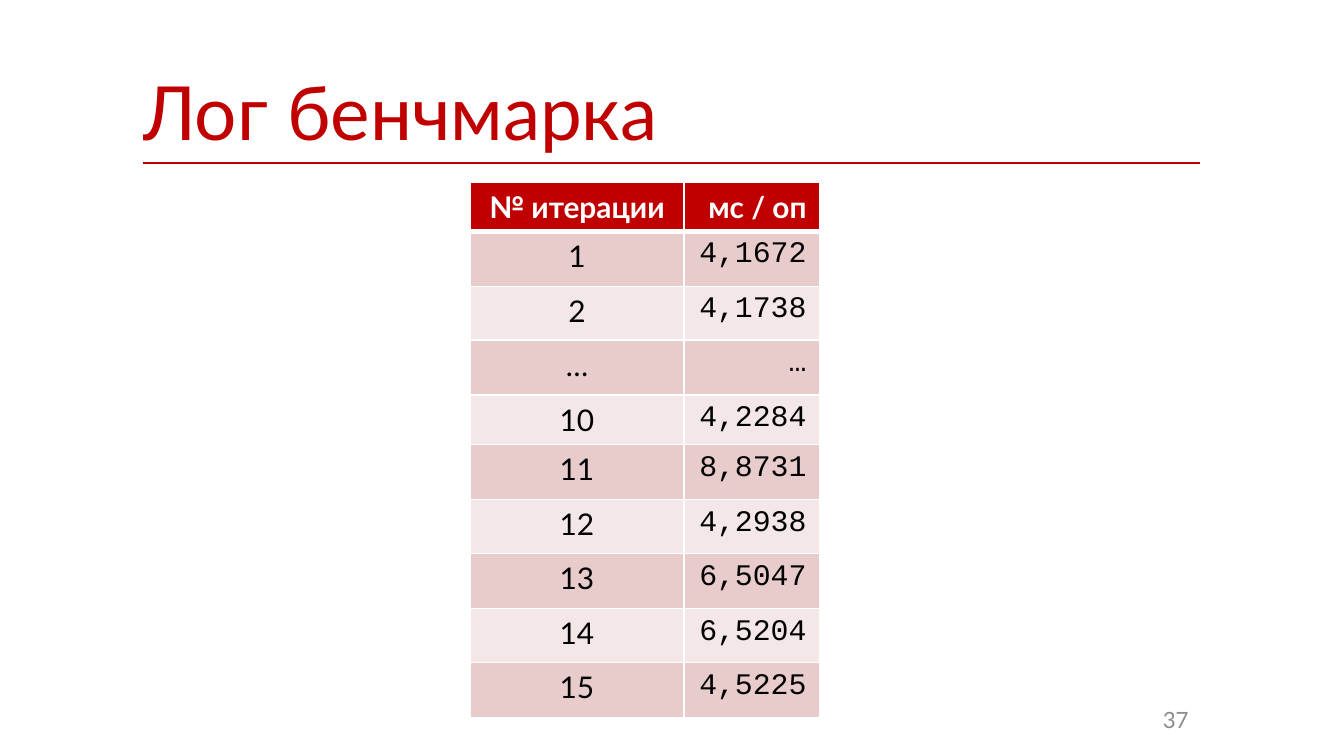
from dataclasses import dataclass

from lxml import etree
from pptx import Presentation, util as u
from pptx.dml.color import RGBColor
from pptx.enum import text as t
from pptx.oxml import ns

DPI = 134.4
HUES = {
    "red": "C00000", "white": "FFFFFF", "black": "000000",
    "dark": "E8CCCC", "light": "F4E7E7", "grey": "8C8C8C",
}
LEFT, MID, RIGHT = t.PP_ALIGN.LEFT, t.PP_ALIGN.CENTER, t.PP_ALIGN.RIGHT


@dataclass
class Style:
    size: int
    hue: str
    align: t.PP_ALIGN = LEFT
    face: str = "Lato"
    bold: bool = False


@dataclass
class Edge:
    side: str
    hue: str = "white"
    width: int = 1


def px(n: int) -> int:
    return round(n * u.Inches(1) / DPI)


def write(frame, words: str, style: Style) -> None:
    par = frame.paragraphs[0]
    par.text = words
    par.alignment = style.align
    font = par.font
    font.name, font.size, font.bold = style.face, u.Pt(style.size), style.bold
    font.color.rgb = RGBColor.from_string(HUES[style.hue])


def rule(cell, edge: Edge) -> None:
    props = cell._tc.get_or_add_tcPr()
    line = etree.SubElement(props, ns.qn("a:ln" + edge.side), w=str(u.Pt(edge.width)))
    fill = etree.SubElement(line, ns.qn("a:solidFill"))
    etree.SubElement(fill, ns.qn("a:srgbClr"), val=HUES[edge.hue])


def grid(slide, x: int, y: int, cols: list[int], rows: list[int]):
    table = slide.shapes.add_table(
        len(rows), len(cols), px(x), px(y), px(sum(cols)), px(sum(rows))).table
    table.horz_banding = False
    for col, wide in zip(table.columns, cols):
        col.width = px(wide)
    for row, high in zip(table.rows, rows):
        row.height = px(high)
    return table


def fill_cell(cell, words: str, style: Style, edges: list[Edge], hue: str = "") -> None:
    write(cell.text_frame, words, style)
    for edge in edges:
        rule(cell, edge)
    if hue:
        cell.fill.solid()
        cell.fill.fore_color.rgb = RGBColor.from_string(HUES[hue])
    else:
        cell.fill.background()


def add_title(slide, words: str) -> None:
    cell = grid(slide, 142, 60, [1059], [103]).cell(0, 0)
    cell.margin_left = 0
    edges = [Edge("L"), Edge("R"), Edge("T"), Edge("B", "red")]
    fill_cell(cell, words, Style(40, "red"), edges)


def add_log(slide, head: tuple[str, str], log: list[tuple[str, str]]) -> None:
    # Row 10 is as short as the header; the others share one pitch
    rows = [49] + [49 if key == "10" else 54 + i % 2
                   for i, (key, _) in enumerate(log, 1)]
    table = grid(slide, 470, 182, [214, 136], rows)
    for r, pair in enumerate([head] + log):
        top = r == 0
        hue = "red" if top else "dark" if r % 2 else "light"
        ink = "white" if top else "black"
        edges = [Edge("L"), Edge("R"), Edge("T", width=3 if r == 1 else 1),
                 Edge("B", width=3 if top else 1)]
        styles = [Style(16, ink, MID, bold=top),
                  Style(16, ink, RIGHT, "Lato" if top else "Courier New", top)]
        for c, (words, style) in enumerate(zip(pair, styles)):
            fill_cell(table.cell(r, c), words, style, edges, hue)


def add_page(slide, number: str) -> None:
    frame = slide.shapes.add_textbox(px(964), px(700), px(238), px(40)).text_frame
    frame.word_wrap = True
    frame.vertical_anchor = t.MSO_ANCHOR.MIDDLE
    write(frame, number, Style(12, "grey", RIGHT))


def main() -> None:
    deck = Presentation()
    deck.slide_width, deck.slide_height = px(1344), px(756)
    slide = deck.slides.add_slide(deck.slide_layouts[6])

    # Title with its rule, page number, benchmark log
    add_title(slide, "Лог бенчмарка")
    add_page(slide, "37")
    add_log(slide, ("№ итерации", "мс / оп"), [
        ("1", "4,1672"), ("2", "4,1738"), ("…", "…"),
        ("10", "4,2284"), ("11", "8,8731"), ("12", "4,2938"),
        ("13", "6,5047"), ("14", "6,5204"), ("15", "4,5225"),
    ])
    deck.save("out.pptx")


if __name__ == "__main__":
    main()
